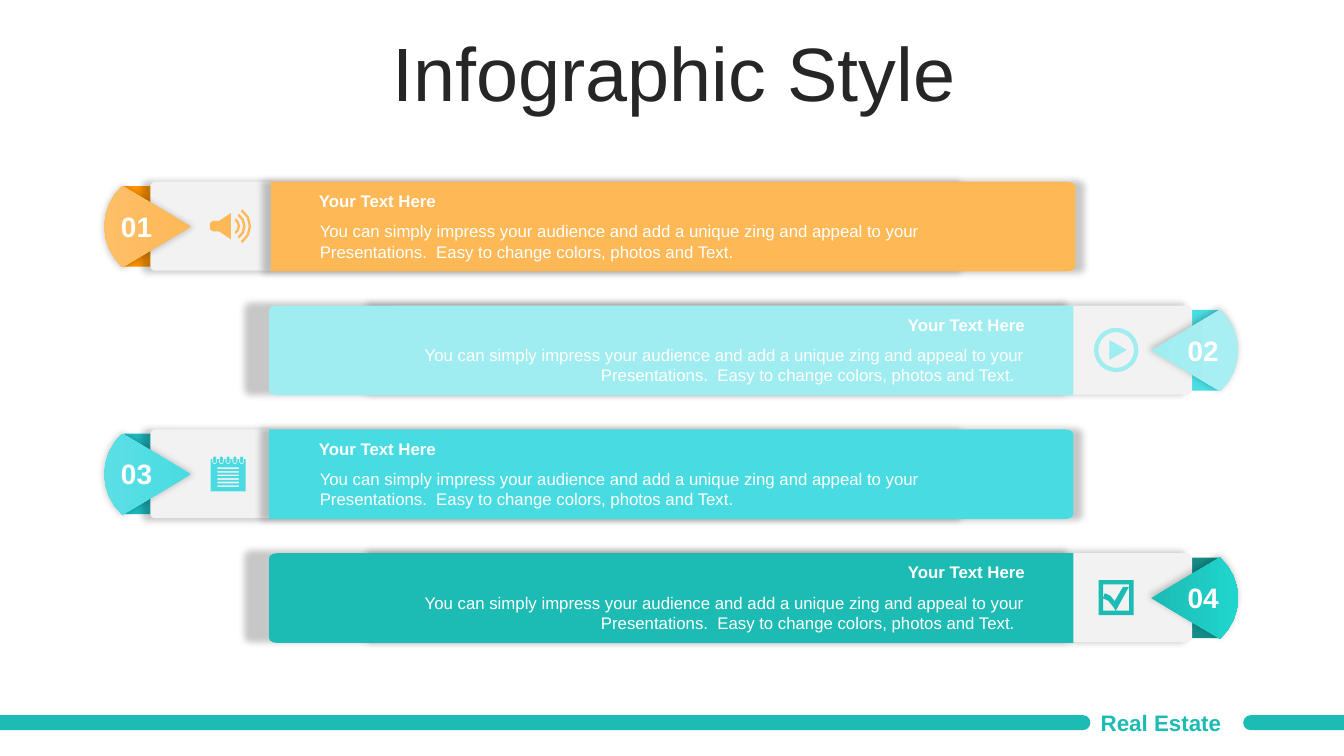
from math import cos, radians, sin

from lxml.etree import SubElement
from pptx import Presentation
from pptx.dml.color import RGBColor
from pptx.enum.shapes import MSO_SHAPE
from pptx.enum.text import MSO_ANCHOR, PP_ALIGN
from pptx.oxml.ns import qn
from pptx.util import Cm, Pt

WHITE = RGBColor(0xFF, 0xFF, 0xFF)
INK = RGBColor(0x26, 0x26, 0x26)
PALE = RGBColor(0xF2, 0xF2, 0xF2)
ORANGE = RGBColor(0xFE, 0xB8, 0x56)
ORANGE_LIGHT = RGBColor(0xFE, 0xBF, 0x67)
ORANGE_DARK = RGBColor(0xFE, 0x94, 0x01)
ICE = RGBColor(0x9F, 0xED, 0xF0)
ICE_LIGHT = RGBColor(0xA9, 0xEF, 0xF2)
ICE_DARK = RGBColor(0x49, 0xDD, 0xE3)
CYAN = RGBColor(0x48, 0xDC, 0xE2)
CYAN_LIGHT = RGBColor(0x5A, 0xDF, 0xE5)
CYAN_DARK = RGBColor(0x1F, 0xBB, 0xC1)
TEAL = RGBColor(0x1C, 0xBB, 0xB4)
TEAL_LIGHT = RGBColor(0x20, 0xD5, 0xCD)
TEAL_DARK = RGBColor(0x15, 0x8C, 0x87)

MIRROR_SPAN = 33.83
ROW_TOP, ROW_PITCH = 4.58, 3.12
HEADING = "Your Text Here"
BODY = ("You can simply impress your audience and add a unique zing and appeal "
        "to your Presentations.  Easy to change colors, photos and Text.")


def arc(x, y, radius_x, radius_y, start, end, steps):
    angles = [radians(start + (end - start) * step / steps) for step in range(steps + 1)]
    return [(x + radius_x * cos(angle), y + radius_y * sin(angle)) for angle in angles]


def rectangle(left, top, right, bottom):
    return [(left, top), (right, top), (right, bottom), (left, bottom)]


def speaker_icon():
    horn = [(0.01, -0.33), (0.01, 0.33), (-0.29, 0.13), (-0.45, 0.13), (-0.52, 0.07),
            (-0.52, -0.07), (-0.45, -0.13), (-0.29, -0.13)]
    waves = [arc(0, 0, radius, radius, -55, 55, 4)
             + arc(0, 0, radius - 0.06, radius - 0.06, 55, -55, 4)
             for radius in (0.24, 0.38, 0.52)]
    return [horn] + waves


def play_icon():
    rings = [arc(0, 0, radius, radius, 0, 345, 23) for radius in (0.56, 0.45)]
    return rings + [[(-0.17, -0.25), (0.27, 0), (-0.17, 0.25)]]


def notepad_icon():
    contours = [rectangle(-0.44, -0.37, 0.44, 0.44)]
    for line in range(6):
        top = -0.16 + 0.09 * line
        contours.append(rectangle(-0.27, top, 0.27, top + 0.04))
    for ring in range(5):
        x = -0.34 + 0.17 * ring
        contours.append([(x - 0.06, -0.37)] + arc(x, -0.30, 0.06, 0.06, 180, 0, 3)
                        + [(x + 0.06, -0.37)])
        contours.append(arc(x, -0.40, 0.04, 0.04, 180, 360, 3)
                        + arc(x, -0.31, 0.04, 0.04, 0, 180, 3))
    return contours


def checkbox_icon():
    tick = [(-0.33, 0.02), (-0.29, -0.11), (-0.15, -0.05), (-0.04, 0.09), (0.17, -0.27),
            (0.32, -0.27), (-0.01, 0.33), (-0.10, 0.20), (-0.20, 0.08)]
    return [rectangle(-0.44, -0.44, 0.44, 0.44), rectangle(-0.33, -0.33, 0.33, 0.33), tick]


class InfographicSlide:
    """Holds the font and the current slide, and draws each kind of element."""

    def __init__(self, page, font="Arial"):
        self.page = page
        self.font = font

    def finish(self, shape, color, shadow=False):
        shape.shadow.inherit = False
        shape.fill.solid()
        shape.fill.fore_color.rgb = color
        shape.line.fill.background()
        if shadow:
            effects = shape._element.spPr.find(qn("a:effectLst"))
            outer = SubElement(effects, qn("a:outerShdw"), blurRad=str(Pt(5)), dist="0",
                               dir="0", sx="102000", sy="102000", algn="ctr",
                               rotWithShape="0")
            black = SubElement(outer, qn("a:srgbClr"), val="000000")
            SubElement(black, qn("a:alpha"), val="22000")
        return shape

    def preset(self, kind, left, top, width, height, color, adjustments=(), shadow=False):
        shape = self.page.shapes.add_shape(kind, Cm(left), Cm(top), Cm(width), Cm(height))
        for index, value in enumerate(adjustments):
            shape.adjustments[index] = value
        return self.finish(shape, color, shadow)

    def outline(self, left, top, contours, color, shadow=False):
        placed = [[(Cm(left + x), Cm(top + y)) for x, y in contour] for contour in contours]
        builder = self.page.shapes.build_freeform(*placed[0][0])
        for index, contour in enumerate(placed):
            if index:
                builder.move_to(*contour[0])
            builder.add_line_segments(contour[1:], close=True)
        return self.finish(builder.convert_to_shape(), color, shadow)

    def text(self, left, top, width, height, words, size, color, bold=False,
             align=PP_ALIGN.LEFT, anchor=MSO_ANCHOR.TOP, side_inset=0.25, spacing=1.0):
        box = self.page.shapes.add_textbox(Cm(left), Cm(top), Cm(width), Cm(height))
        frame = box.text_frame
        frame.word_wrap = True
        frame.vertical_anchor = anchor
        frame.margin_left = frame.margin_right = Cm(side_inset)
        para = frame.paragraphs[0]
        para.alignment = align
        para.line_spacing = spacing
        span = para.add_run()
        span.text = words
        span.font.name = self.font
        span.font.size = Pt(size)
        span.font.bold = bold
        span.font.color.rgb = color
        return box

    def mirror(self, shape, turn=True):
        shape.left = Cm(MIRROR_SPAN) - shape.left - shape.width
        if turn:
            shape.rotation = 180

    def footer_strip(self, left, length, rotation):
        thickness, middle = 0.38, 18.21
        strip = self.preset(MSO_SHAPE.ROUND_2_SAME_RECTANGLE,
                            left + (length - thickness) / 2, middle - length / 2,
                            thickness, length, TEAL, (0.5, 0))
        strip.rotation = rotation

    def banner(self, number, top, colors, icon, icon_x, bar_left, mirrored):
        main, light, dark = colors
        fold = self.preset(MSO_SHAPE.RECTANGLE, 3.12, top + 0.11, 2.01, 2.03, dark)
        panel = self.preset(MSO_SHAPE.ROUNDED_RECTANGLE, 3.79, top, 20.22, 2.24, PALE,
                            (0.053,), shadow=True)
        wedge = self.outline(0, top, [[(4.82, 1.13)]
                                      + arc(4.01, 1.13, 1.38, 1.38, 132, 228, 8)],
                             main, shadow=True)
        wedge.fill.gradient()
        wedge.fill.gradient_angle = 180
        for stop, color, position in zip(wedge.fill.gradient_stops, (main, light), (0, 1)):
            stop.color.rgb = color
            stop.position = position
        bar_points = ([(0, 0)] + arc(20.07, 0.12, 0.20, 0.12, -90, 0, 3)
                      + arc(20.07, 2.14, 0.20, 0.12, 0, 90, 3) + [(0, 2.26)])
        bar = self.outline(bar_left, top, [bar_points], main, shadow=True)
        label = self.text(2.75, top + 0.57, 1.45, 1.12, number, 20, WHITE, bold=True,
                          side_inset=0.30)
        if mirrored:
            for shape in (fold, panel, wedge, bar):
                self.mirror(shape)
            self.mirror(label, turn=False)
        align = PP_ALIGN.RIGHT if mirrored else PP_ALIGN.LEFT
        body = BODY + "  " if mirrored else BODY
        self.text(7.81, top + 0.87, 18.26, 1.27, body, 12, WHITE, align=align)
        self.text(7.79, top + 0.10, 18.29, 0.76, HEADING, 12, WHITE, bold=True, align=align)
        self.outline(icon_x, top + 1.12, icon(), main)


def main():
    deck = Presentation()
    deck.slide_width, deck.slide_height = Cm(33.87), Cm(19.05)
    slide = InfographicSlide(deck.slides.add_slide(deck.slide_layouts[6]))

    slide.footer_strip(0, 27.48, 90)
    slide.footer_strip(31.33, 2.54, 270)
    slide.text(27.49, 17.73, 3.84, 0.94, "Real Estate", 16, TEAL, bold=True,
               anchor=MSO_ANCHOR.MIDDLE)
    slide.text(0.91, 0.94, 32.16, 2.01, "Infographic Style", 54, INK,
               align=PP_ALIGN.CENTER, anchor=MSO_ANCHOR.MIDDLE, spacing=0.9)

    banners = [
        ((ORANGE, ORANGE_LIGHT, ORANGE_DARK), speaker_icon, 5.81, 6.83),
        ((ICE, ICE_LIGHT, ICE_DARK), play_icon, 28.13, 6.78),
        ((CYAN, CYAN_LIGHT, CYAN_DARK), notepad_icon, 5.75, 6.78),
        ((TEAL, TEAL_LIGHT, TEAL_DARK), checkbox_icon, 28.13, 6.78),
    ]
    for index, (colors, icon, icon_x, bar_left) in enumerate(banners):
        slide.banner(f"{index + 1:02}", ROW_TOP + ROW_PITCH * index, colors, icon, icon_x,
                     bar_left, mirrored=index % 2 == 1)
    deck.save("out.pptx")


if __name__ == "__main__":
    main()
